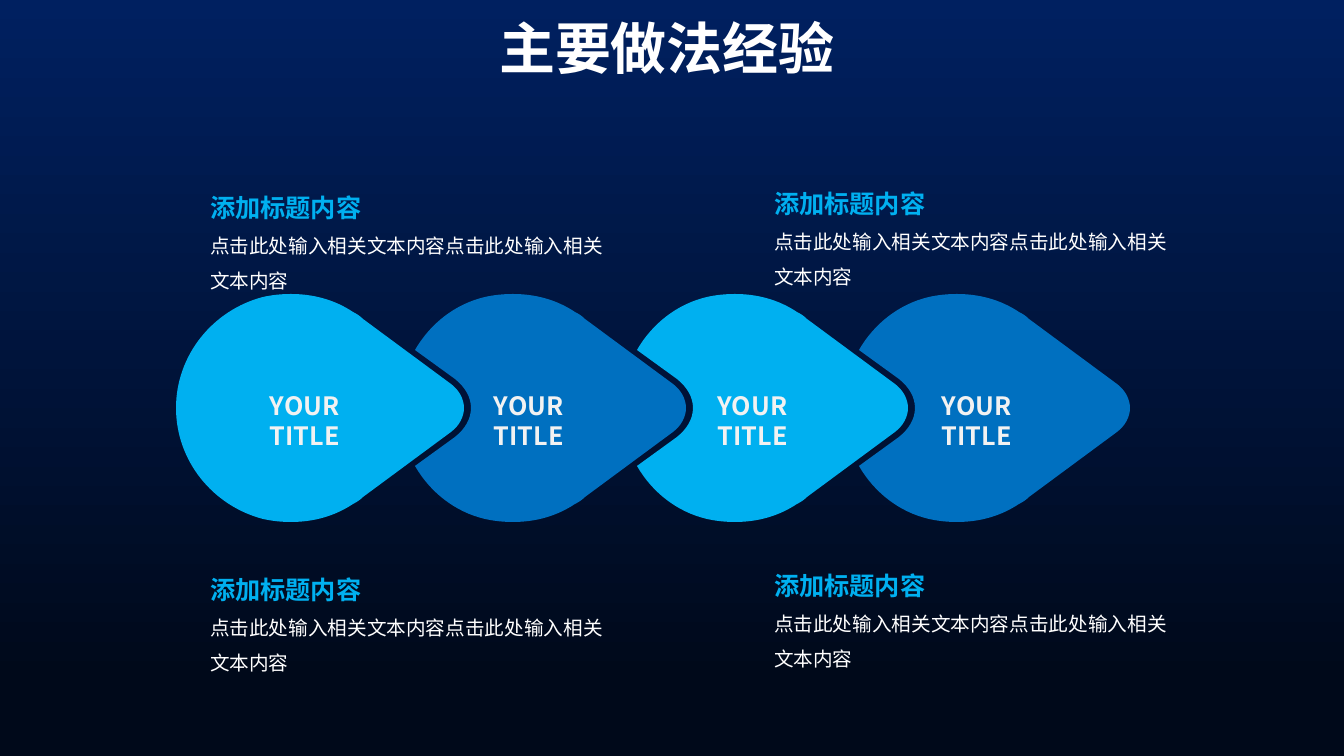
"""Builds a slide with four chained drops, four notes and a title."""
from lxml import etree
from pptx import Presentation
from pptx.dml.color import RGBColor
from pptx.enum.text import MSO_ANCHOR, MSO_AUTO_SIZE, PP_ALIGN
from pptx.oxml.ns import qn
from pptx.util import Pt

PX = 12192000 / 1344
NAVY = RGBColor(0x00, 0x20, 0x60)
NIGHT = RGBColor(0x00, 0x09, 0x1A)
SKY = RGBColor(0x00, 0xB0, 0xF0)
BLUE = RGBColor(0x00, 0x70, 0xC0)
WHITE = RGBColor(0xFF, 0xFF, 0xFF)
PALE = RGBColor(0xF2, 0xF2, 0xF2)

CENTER_X, CENTER_Y, DROP_STEP = 291, 408, 222
SHOULDER = [
    (173, 0),
    (173, -9), (168, -18), (160, -24),
    (72, -89), (72, -89), (72, -89),
    (69, -92), (66, -94), (62, -96),
    (44, -108), (23, -114), (0, -114),
    (-10, -114), (-19, -113), (-28, -111),
]
ROUND_BACK = [(-78, -98), (-115, -53), (-115, 0)]
NOTCHED_BACK = [
    (-58, -104), (-83, -84), (-98, -58),
    (-58, -29), (-58, -29), (-58, -29),
    (-48, -21), (-42, -11), (-42, 0),
]


def add_run(p, text, size, color, bold, font):
    """Append a formatted run to a paragraph."""
    r = p.add_run()
    r.text = text
    r.font.size = Pt(size)
    r.font.bold = bold
    r.font.color.rgb = color
    r.font.name = font
    etree.SubElement(r.font._element, qn("a:ea"), typeface=font)


prs = Presentation()
prs.slide_width, prs.slide_height = round(1344 * PX), round(756 * PX)
s = prs.slides.add_slide(prs.slide_layouts[5])

fill = s.background.fill
fill.gradient()
fill.gradient_angle = 270
for stop, color, position in zip(fill.gradient_stops, (NAVY, NIGHT), (0, 0.9)):
    stop.color.rgb = color
    stop.position = position

for i in range(4):
    upper = SHOULDER + (NOTCHED_BACK if i else ROUND_BACK)
    outline = upper + [(x, -y) for x, y in reversed(upper[:-1])]
    points = [(CENTER_X + i * DROP_STEP + x, CENTER_Y + y) for x, y in outline]
    corners = points[::3]
    builder = s.shapes.build_freeform(*corners[0], scale=PX)
    builder.add_line_segments(corners[1:], close=False)
    sp = builder.convert_to_shape()
    sp.shadow.inherit = False
    sp.fill.solid()
    sp.fill.fore_color.rgb = BLUE if i % 2 else SKY
    sp.line.fill.background()

    left, top = (min(values) for values in zip(*corners))
    outline_path = next(sp._element.iter(qn("a:path")))
    for line in outline_path.findall(qn("a:lnTo")):
        outline_path.remove(line)
    for n in range(1, len(points), 3):
        curve = etree.SubElement(outline_path, qn("a:cubicBezTo"))
        for x, y in points[n:n + 3]:
            etree.SubElement(curve, qn("a:pt"), x=str(x - left), y=str(y - top))
    etree.SubElement(outline_path, qn("a:close"))

for i in range(4):
    left = 260 + 224 * i
    sp = s.shapes.add_textbox(round(left * PX), round(385 * PX), round(162 * PX), round(40 * PX))
    tf = sp.text_frame
    tf.word_wrap = True
    tf.auto_size = MSO_AUTO_SIZE.SHAPE_TO_FIT_TEXT
    add_run(tf.paragraphs[0], "YOUR TITLE", 18, PALE, True, "Noto Sans CJK KR")

for left, top in ((210, 177), (774, 173), (210, 559), (774, 555)):
    sp = s.shapes.add_textbox(round(left * PX), round(top * PX), round(396 * PX), round(117 * PX))
    tf = sp.text_frame
    tf.word_wrap = True
    tf.auto_size = MSO_AUTO_SIZE.SHAPE_TO_FIT_TEXT
    tf.margin_left = tf.margin_right = tf.margin_top = tf.margin_bottom = 0
    p = tf.paragraphs[0]
    p.line_spacing = 1.5
    add_run(p, "添加标题内容", 18, SKY, True, "Noto Sans")
    p.add_line_break()
    add_run(p, "点击此处输入相关文本内容点击此处输入相关文本内容", 14, WHITE, False, "Noto Sans")

title = s.shapes.title
title.left, title.top = round(489 * PX), round(8 * PX)
title.width, title.height = round(580 * PX), round(78 * PX)
tf = title.text_frame
tf.auto_size = MSO_AUTO_SIZE.NONE
tf.vertical_anchor = MSO_ANCHOR.TOP
p = tf.paragraphs[0]
p.alignment = PP_ALIGN.LEFT
add_run(p, "主要做法经验", 40, WHITE, True, "Noto Sans")

prs.save("out.pptx")
